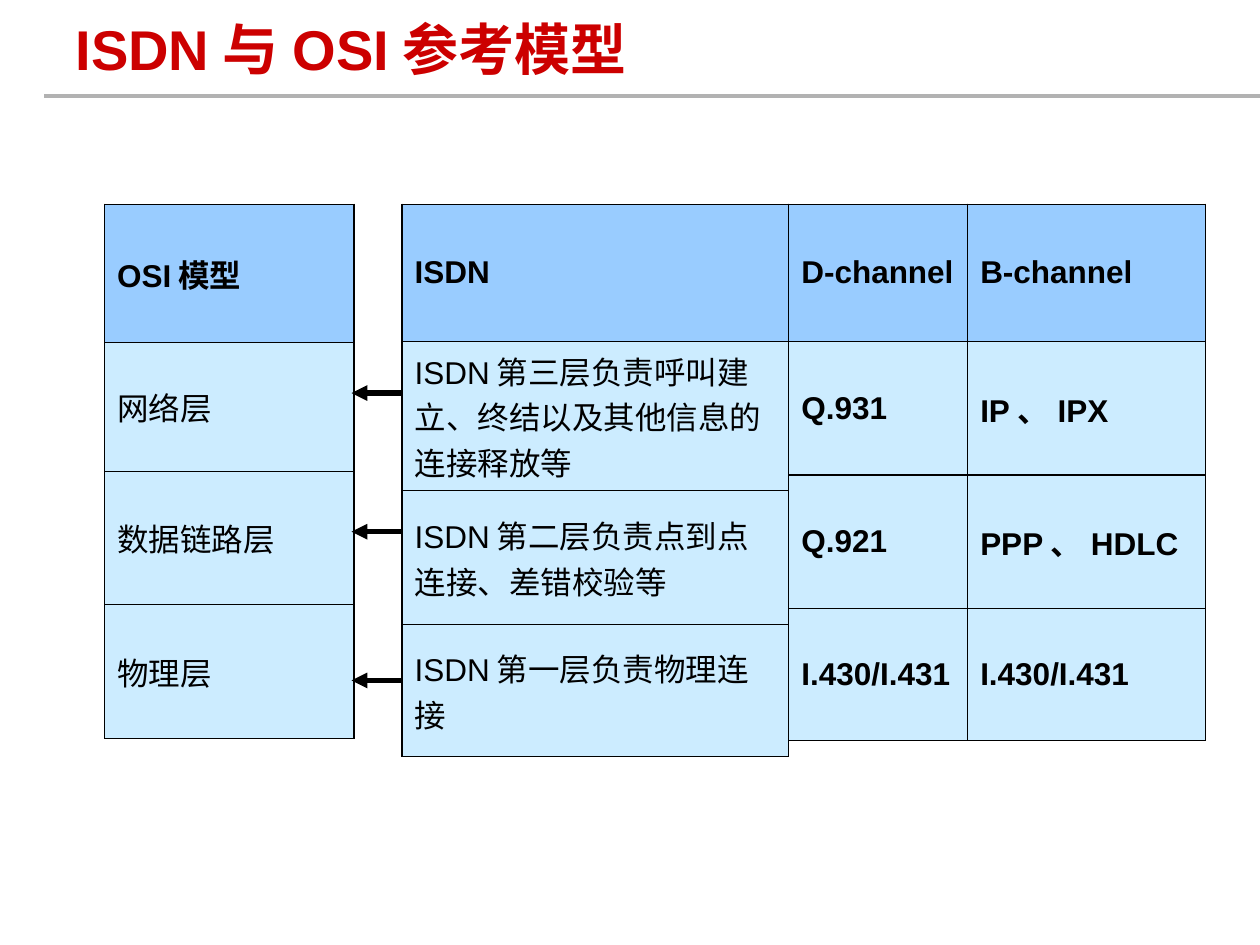
import pptx
import pptx.dml.color
import pptx.enum.shapes
import pptx.enum.text
import pptx.oxml
import pptx.oxml.ns
import pptx.util
from pptx.util import Inches

COLORS = {
    "title": "CC0000",
    "rule": "B2B2B2",
    "header": "99CCFF",
    "layer": "CCECFF",
    "ink": "000000",
}
FONT = "Arial"
TABLE_TOP = 1.62
ISDN_ROWS = (1.09, 1.06, 1.06, 1.05)
OSI_ROWS = (1.1, 1.02, 1.06, 1.06)
STACKS = [
    (0.83, 1.98, OSI_ROWS, False, ["OSI模型", "网络层", "数据链路层", "物理层"]),
    (3.19, 3.07, ISDN_ROWS, False, [
        "ISDN",
        "ISDN第三层负责呼叫建立、终结以及其他信息的连接释放等",
        "ISDN第二层负责点到点连接、差错校验等",
        "ISDN第一层负责物理连接",
    ]),
    (6.26, 1.42, ISDN_ROWS, True, ["D-channel", "Q.931", "Q.921", "I.430/I.431"]),
    (7.68, 1.89, ISDN_ROWS, True, ["B-channel", "IP、IPX", "PPP、HDLC", "I.430/I.431"]),
]
ARROW_HEIGHTS = (3.12, 4.22, 5.4)


def rgb(name):
    return pptx.dml.color.RGBColor.from_string(COLORS[name])


def set_font(paragraph, size, color, bold):
    paragraph.font.name = FONT
    paragraph.font.size = pptx.util.Pt(size)
    paragraph.font.bold = bold
    paragraph.font.color.rgb = rgb(color)


def add_line(slide, start, end, color, width, arrow=False):
    line = slide.shapes.add_connector(
        pptx.enum.shapes.MSO_CONNECTOR.STRAIGHT,
        *(Inches(length) for length in (*start, *end)))
    line.line.color.rgb = rgb(color)
    line.line.width = pptx.util.Pt(width)
    if arrow:
        tail = pptx.oxml.parse_xml(
            f'<a:tailEnd {pptx.oxml.ns.nsdecls("a")} type="triangle"/>')
        line.line._get_or_add_ln().append(tail)
    line._element.spPr.append(
        pptx.oxml.parse_xml(f'<a:effectLst {pptx.oxml.ns.nsdecls("a")}/>'))


def add_heading(slide, left, top, width, height):
    title = slide.shapes.title
    title.left, title.top = Inches(left), Inches(top)
    title.width, title.height = Inches(width), Inches(height)
    frame = title.text_frame
    frame.text = "ISDN与OSI参考模型"
    frame.auto_size = pptx.enum.text.MSO_AUTO_SIZE.NONE
    frame.vertical_anchor = pptx.enum.text.MSO_ANCHOR.MIDDLE
    frame.paragraphs[0].alignment = pptx.enum.text.PP_ALIGN.LEFT
    set_font(frame.paragraphs[0], 32, "title", True)
    rule_y = top + height + 0.04
    add_line(slide, (left - 0.15, rule_y), (10, rule_y), "rule", 2.25)


def add_borders(cell):
    properties = cell._tc.get_or_add_tcPr()
    for side in ("lnL", "lnR", "lnT", "lnB"):
        properties.append(pptx.oxml.parse_xml(
            f'<a:{side} {pptx.oxml.ns.nsdecls("a")} w="9525"><a:solidFill>'
            f'<a:srgbClr val="{COLORS["ink"]}"/></a:solidFill></a:{side}>'))


def add_stack(slide, left, top, width, row_heights, bold_layers, labels):
    table = slide.shapes.add_table(
        len(labels), 1, Inches(left), Inches(top),
        Inches(width), Inches(sum(row_heights))).table
    table.columns[0].width = Inches(width)
    for index, (label, height) in enumerate(zip(labels, row_heights)):
        table.rows[index].height = Inches(height)
        cell = table.cell(index, 0)
        is_header = index == 0
        add_borders(cell)
        cell.fill.solid()
        cell.fill.fore_color.rgb = rgb("header" if is_header else "layer")
        cell.vertical_anchor = pptx.enum.text.MSO_ANCHOR.MIDDLE
        cell.text = label
        paragraph = cell.text_frame.paragraphs[0]
        paragraph.space_after = pptx.util.Pt(5.6)
        set_font(paragraph, 18, "ink", is_header or bold_layers)


def add_layer_arrows(slide, left, right):
    for height in ARROW_HEIGHTS:
        add_line(slide, (right, height), (left, height), "ink", 3, arrow=True)


def main():
    presentation = pptx.Presentation()
    presentation.slide_width = Inches(10)
    presentation.slide_height = Inches(7.5)
    slide = presentation.slides.add_slide(presentation.slide_layouts[5])
    add_heading(slide, 0.5, 0.05, 7.92, 0.67)
    for left, width, row_heights, bold_layers, labels in STACKS:
        add_stack(slide, left, TABLE_TOP, width, row_heights, bold_layers, labels)
    add_layer_arrows(slide, 2.79, 3.19)
    presentation.save("out.pptx")


if __name__ == "__main__":
    main()
